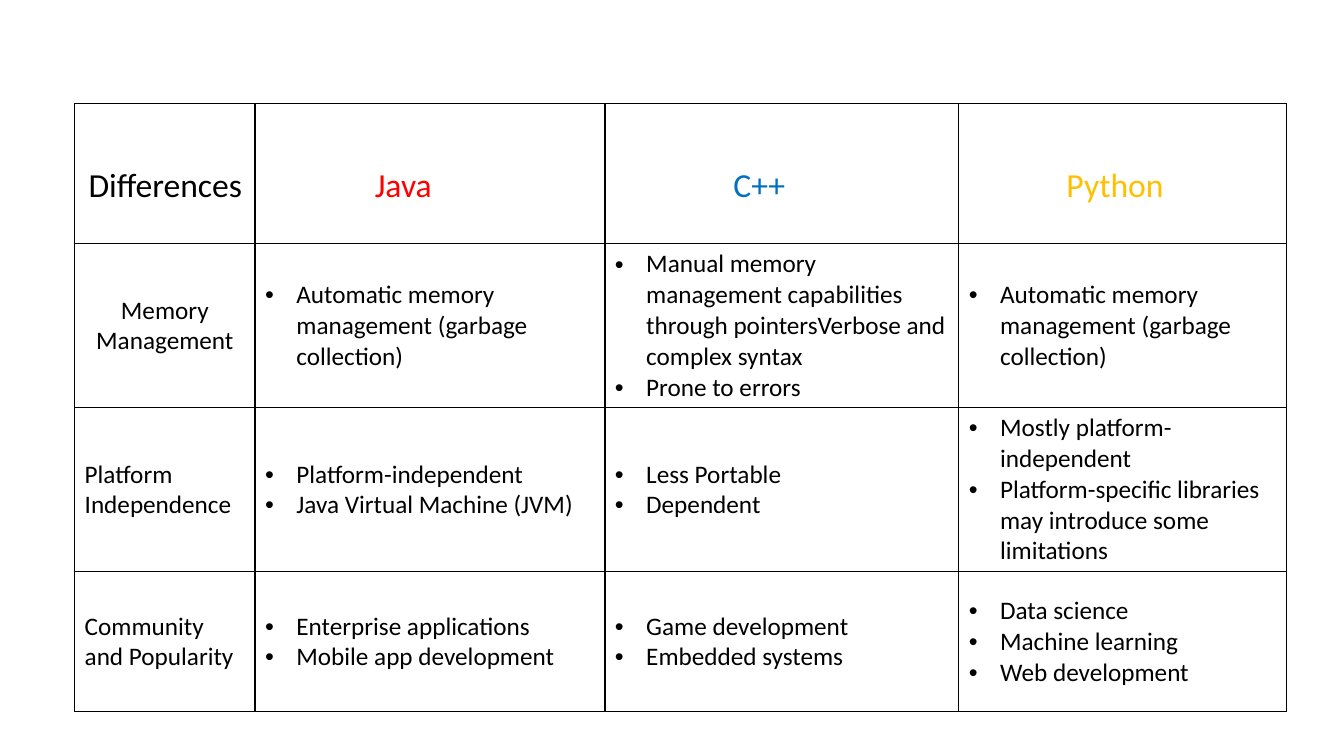
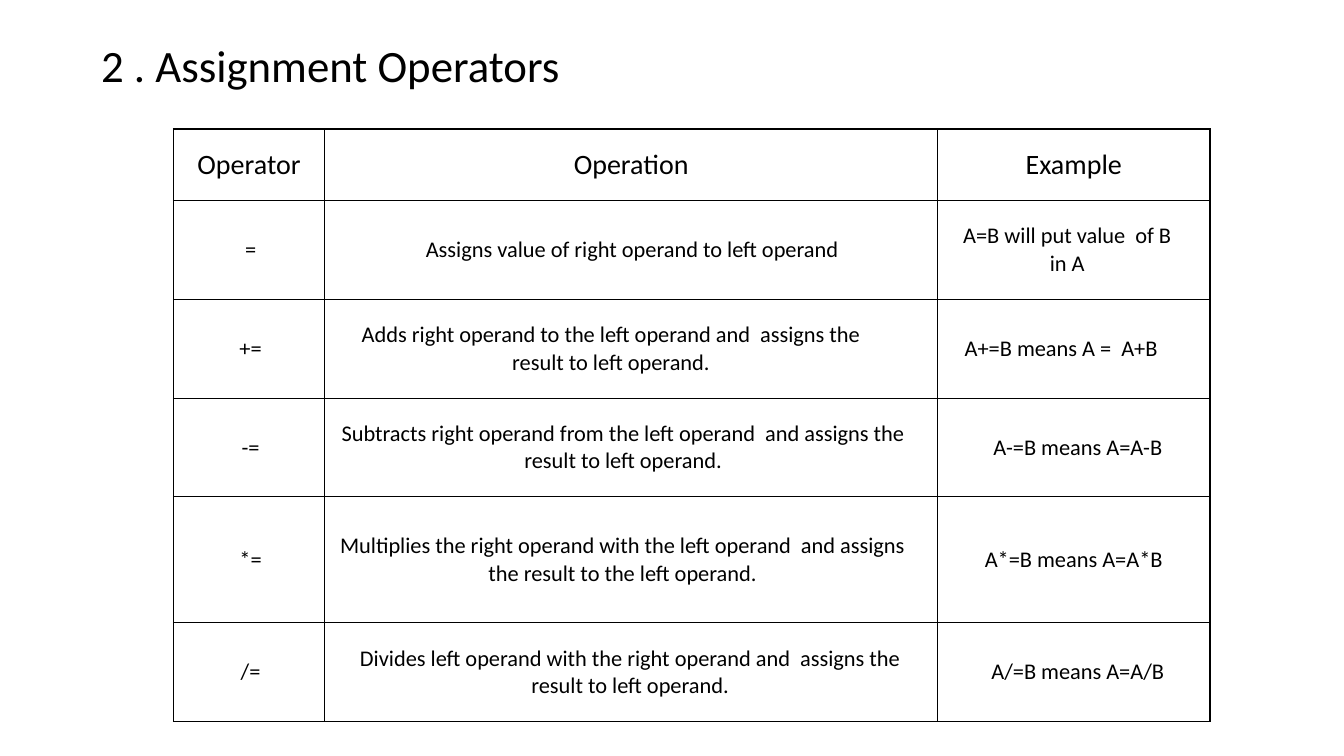
from lxml.etree import SubElement as Sub
from pptx import Presentation as Deck
from pptx.dml.color import RGBColor as Rgb
from pptx.enum.text import MSO_ANCHOR as Anchor, PP_ALIGN as Align
from pptx.oxml.ns import qn
from pptx.util import Pt

PX = 9144
FONT = "Calibri"
HUES = {
    "ink": "000000",
    "paper": "FFFFFF",
    "red": "FF0000",
    "blue": "0070C0",
    "gold": "FFC000",
}

TRAITS = [
    ["Memory Management",
     "Automatic memory management (garbage collection)",
     "Manual memory management capabilities through pointersVerbose and complex syntax\nProne to errors",
     "Automatic memory management (garbage collection)"],
    ["Platform Independence",
     "Platform-independent\nJava Virtual Machine (JVM)",
     "Less Portable\nDependent",
     "Mostly platform-independent\nPlatform-specific libraries may introduce some limitations"],
    ["Community and Popularity",
     "Enterprise applications\nMobile app development",
     "Game development\nEmbedded systems",
     "Data science\nMachine learning\nWeb development"],
]
HEADS = [("Java", "red"), ("C++", "blue"), ("Python", "gold")]

TITLES = ["Operator", "Operation", "Example"]
SIGNS = [
    ["=", "Assigns value of right operand to left operand",
     "A=B will put value  of B in A"],
    ["+=", "Adds right operand to the left operand and  assigns the result to left operand.",
     "A+=B means A =  A+B"],
    ["-=", "Subtracts right operand from the left operand  and assigns the result to left operand.",
     "A-=B means A=A-B"],
    ["*=", "Multiplies the right operand with the left operand  and assigns the result to the left operand.",
     "A*=B means A=A*B"],
    ["/=", "Divides left operand with the right operand and  assigns the result to left operand.",
     "A/=B means A=A/B"],
]
INSETS = [[5, 6, 21], [5, 48, 33], [5, 24, 0], [5, 25, 8], [5, 10, 0]]


def hue(name):
    return Rgb.from_string(HUES[name])


def style(frame, size, tint="ink", align=Align.CENTER):
    for para in frame.paragraphs:
        para.alignment = align
        for run in para.runs:
            run.font.name = FONT
            run.font.size = Pt(size)
            run.font.color.rgb = hue(tint)


def label(slide, box, text, size, tint="ink"):
    frame = slide.shapes.add_textbox(*(n * PX for n in box)).text_frame
    frame.word_wrap = False
    frame.text = text
    style(frame, size, tint)


def bullet(frame):
    for para in frame.paragraphs:
        props = para._p.get_or_add_pPr()
        props.set("marL", str(31 * PX))
        props.set("indent", str(-31 * PX))
        Sub(props, qn("a:buFont"), typeface="Arial")
        Sub(props, qn("a:buChar"), char="•")


def border(cell):
    props = cell._tc.get_or_add_tcPr()
    for side in "LRTB":
        line = Sub(props, qn("a:ln" + side), w=str(Pt(1)))
        fill = Sub(line, qn("a:solidFill"))
        Sub(fill, qn("a:srgbClr"), val=HUES["ink"])


def grid(slide, left, top, cols, rows):
    size = (len(rows), len(cols))
    box = (left, top, sum(cols), sum(rows))
    table = slide.shapes.add_table(*size, *(n * PX for n in box)).table
    table.first_row = table.horz_banding = False
    for col, width in zip(table.columns, cols):
        col.width = width * PX
    for row, height in zip(table.rows, rows):
        row.height = height * PX
    for cell in table.iter_cells():
        border(cell)
        cell.fill.solid()
        cell.fill.fore_color.rgb = hue("paper")
        cell.vertical_anchor = Anchor.MIDDLE
    return table


def compare(slide, left, top):
    table = grid(slide, left, top, [179, 347, 351, 325], [139, 162, 162, 139])
    for r, row in enumerate(TRAITS, 1):
        for c, text in enumerate(row):
            frame = table.cell(r, c).text_frame
            frame.text = text
            style(frame, 18, align=Align.CENTER if (r, c) == (1, 0) else Align.LEFT)
            if c:
                bullet(frame)
    label(slide, (left, top + 55, 180, 50), "Differences", 24)
    for i, (text, tint) in enumerate(HEADS):
        label(slide, (left + 236 + 353 * i, top + 55, 180, 50), text, 24, tint)


def assign(slide, left, top):
    table = grid(slide, left, top, [150, 608, 270], [71, 98, 98, 98, 125, 98])
    for r, row in enumerate([TITLES] + SIGNS):
        for c, text in enumerate(row):
            cell = table.cell(r, c)
            cell.margin_top = cell.margin_bottom = 7 * PX
            cell.margin_left = (15 if r else 7) * PX
            cell.margin_right = (7 + (INSETS[r - 1][c] if r else 0)) * PX
            cell.text_frame.text = text
            style(cell.text_frame, 16 if r else 20)
    label(slide, (left - 84, top - 95, 480, 64), "2 . Assignment Operators", 32)


def main():
    deck = Deck()
    deck.slide_width, deck.slide_height = 1333 * PX, 750 * PX
    for build, left, top in [(compare, 74, 103), (assign, 172, 128)]:
        build(deck.slides.add_slide(deck.slide_layouts[6]), left, top)
    deck.save("out.pptx")


if __name__ == "__main__":
    main()
